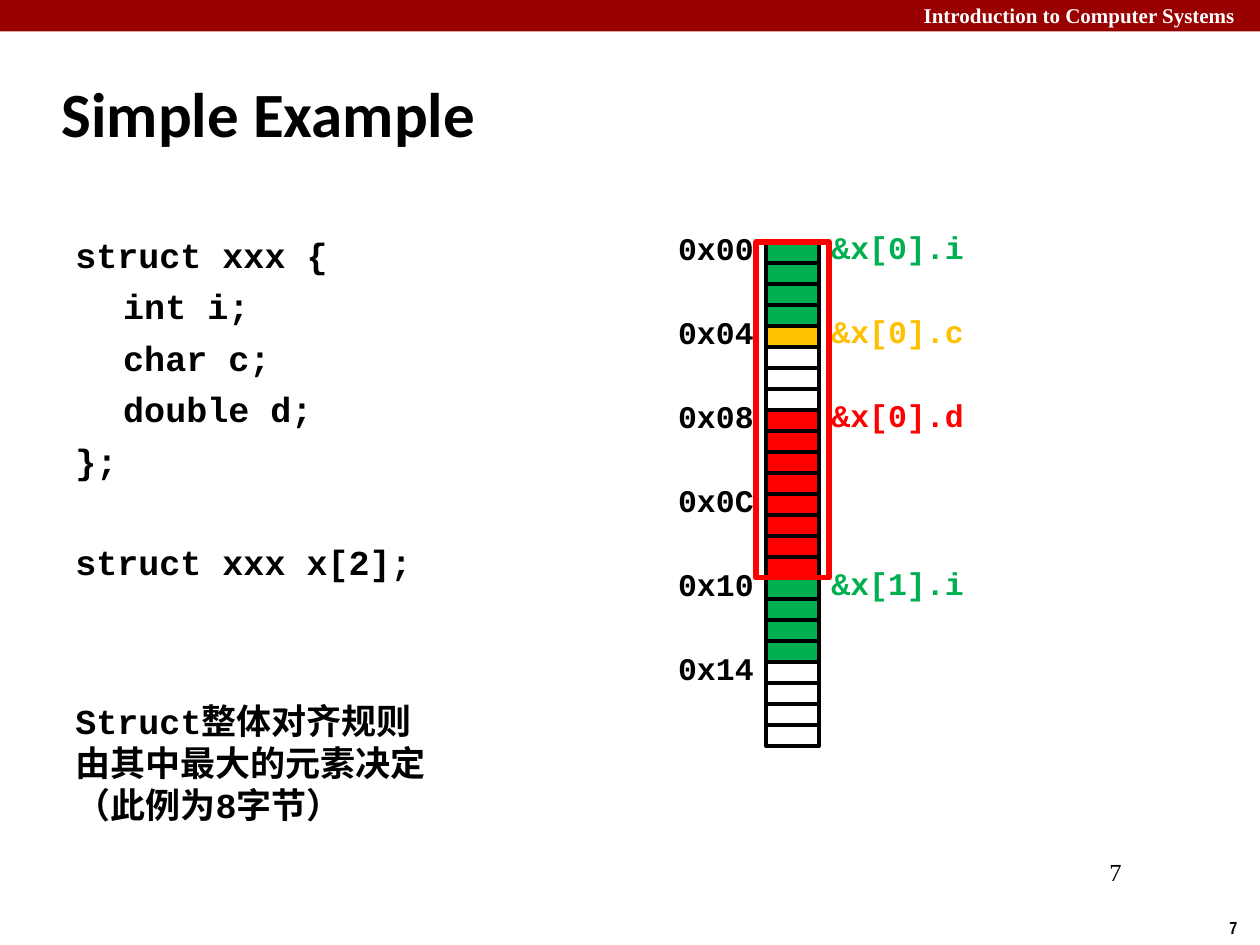
from pptx import Presentation
from pptx.dml.color import RGBColor
from pptx.enum.shapes import MSO_SHAPE
from pptx.enum.text import MSO_ANCHOR, PP_ALIGN
from pptx.util import Inches, Pt

RECT = MSO_SHAPE.RECTANGLE
LEFT, RIGHT = PP_ALIGN.LEFT, PP_ALIGN.RIGHT
MIDDLE = MSO_ANCHOR.MIDDLE

THEME = {
    "black": "000000", "white": "FFFFFF", "banner": "990000",
    "int": "00B050", "char": "FFC000", "double": "FF0000",
    "code": "Courier New", "serif": "Times New Roman",
    "heading": "Calibri", "narrow": "Arial Narrow",
    "title_size": 36, "code_size": 20, "label_size": 18,
    "page_size": 14, "header_size": 12, "footer_size": 10,
}

HEADER = "Introduction to Computer Systems"
TITLE = "Simple Example"
PAGE = "7"
DECLARATION = [  # (line, points before it)
    ("struct xxx {", 0),
    ("\tint i;", 5.5),
    ("\tchar c;", 5.5),
    ("\tdouble d;", 5.5),
    ("};", 5.5),
    ("struct xxx x[2];", 33.5),
]
RULE = ["Struct整体对齐规则", "由其中最大的元素决定", "（此例为8字节）"]
FIELDS = [  # (type, bytes, label); None is padding or unused space
    ("int", 4, "&x[0].i"),
    ("char", 1, "&x[0].c"),
    (None, 3, None),
    ("double", 8, "&x[0].d"),
    ("int", 4, "&x[1].i"),
    (None, 4, None),
]
ADDRESSES = ["0x00", "0x04", "0x08", "0x0C", "0x10", "0x14"]
ADDRESS_STEP = 4
STRUCT_BYTES = 16

MEM_LEFT, MEM_TOP, BYTE_W, BYTE_H = 6.08, 1.92, 0.42, 1 / 6
LABEL_RISE = 0.15


def color(name):
    return RGBColor.from_string(THEME[name])


def style(p, font, size, fill="black", bold=True, align=LEFT):
    p.alignment = align
    p.font.name, p.font.size = THEME[font], Pt(THEME[size])
    p.font.bold = bold
    p.font.color.rgb = color(fill)


def add_text(slide, lines, box, font, size, wrap=True, **look):
    tf = slide.shapes.add_textbox(*map(Inches, box)).text_frame
    tf.word_wrap = wrap
    for i, line in enumerate(lines):
        p = tf.paragraphs[0] if i == 0 else tf.add_paragraph()
        p.text = line
        style(p, font, size, **look)
    return tf


def add_rect(slide, box, fill=None, line=None, weight=2.25):
    sp = slide.shapes.add_shape(RECT, *map(Inches, box))
    sp.shadow.inherit = False
    if fill:
        sp.fill.solid()
        sp.fill.fore_color.rgb = color(fill)
    else:
        sp.fill.background()
    if line:
        sp.line.color.rgb = color(line)
        sp.line.width = Pt(weight)
    else:
        sp.line.fill.background()


def add_frame(slide):
    """Banner, title and page numbers."""
    add_rect(slide, (0, 0, 10, 0.25), "banner")
    add_text(slide, [HEADER], (5.87, -0.03, 4.03, 0.3), "serif", "header_size",
             fill="white", align=RIGHT)
    add_text(slide, [PAGE], (9.66, 7.23, 0.34, 0.27), "narrow", "footer_size",
             wrap=False)
    add_text(slide, [PAGE], (7.58, 6.75, 1.42, 0.5), "serif", "page_size",
             bold=False, align=RIGHT)
    title = slide.shapes.title
    title.left, title.top = Inches(0.39), Inches(0.48)
    title.width, title.height = Inches(8.3), Inches(0.83)
    title.text_frame.text = TITLE
    title.text_frame.vertical_anchor = MIDDLE
    style(title.text_frame.paragraphs[0], "heading", "title_size")


def add_declaration(slide):
    tf = add_text(slide, [line for line, _ in DECLARATION],
                  (0.5, 1.8, 3.33, 3.12), "code", "code_size")
    for p, (_, before) in zip(tf.paragraphs, DECLARATION):
        p.space_before = Pt(before)
        pPr = p._p.get_or_add_pPr()
        pPr.set("marL", str(Inches(0.38)))
        pPr.set("indent", str(-Inches(0.38)))


def add_memory(slide):
    def byte_top(offset):
        return MEM_TOP + offset * BYTE_H

    for i, address in enumerate(ADDRESSES):
        top = byte_top(i * ADDRESS_STEP) - LABEL_RISE
        add_text(slide, [address], (5.25, top, 0.83, 0.4), "code", "label_size",
                 align=RIGHT)
    offset = 0
    for kind, size, label in FIELDS:
        if label:
            top = byte_top(offset) - LABEL_RISE - 0.01
            add_text(slide, [label], (6.5, top, 1.5, 0.4), "code", "label_size",
                     fill=kind)
        for n in range(offset, offset + size):
            add_rect(slide, (MEM_LEFT, byte_top(n), BYTE_W, BYTE_H), kind, "black")
        offset += size
    add_rect(slide, (6, MEM_TOP, 0.58, STRUCT_BYTES * BYTE_H), line="double",
             weight=3)


def main():
    prs = Presentation()
    prs.slide_width, prs.slide_height = Inches(10), Inches(7.5)
    slide = prs.slides.add_slide(prs.slide_layouts[5])
    add_frame(slide)
    add_declaration(slide)
    add_memory(slide)
    add_text(slide, RULE, (0.5, 5.5, 3.02, 1.11), "code", "code_size", wrap=False)
    prs.save("out.pptx")


if __name__ == "__main__":
    main()
